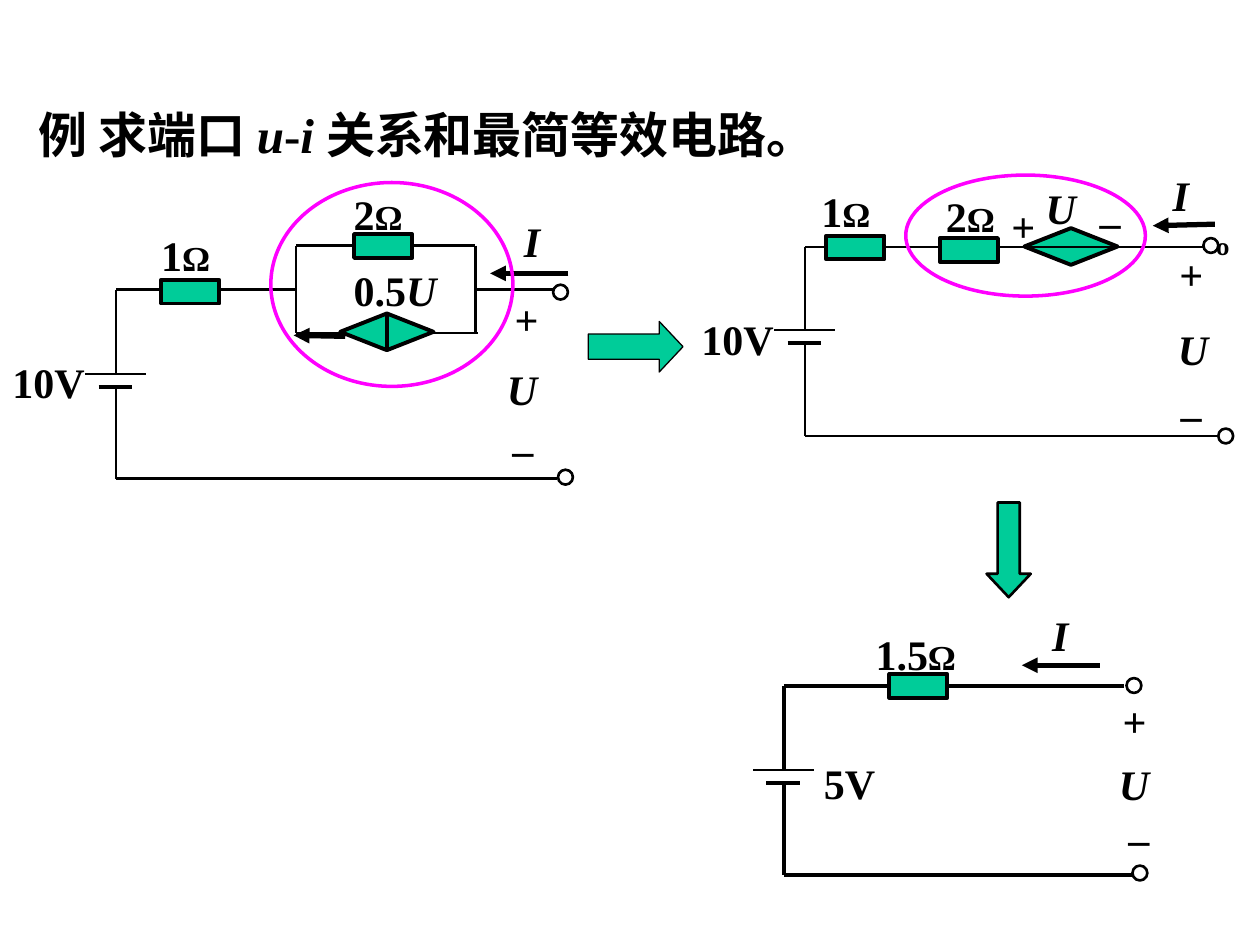
from itertools import groupby

from lxml import etree
from pptx import Presentation
from pptx import util as u
from pptx.dml.color import RGBColor
from pptx.enum import shapes, text
from pptx.oxml import ns

BLACK = RGBColor(0, 0, 0)
WHITE = RGBColor(255, 255, 255)
GREEN = RGBColor(0, 204, 153)
PINK = RGBColor(255, 0, 255)
KIND = shapes.MSO_SHAPE
LEFT, MID = text.PP_ALIGN.LEFT, text.PP_ALIGN.CENTER
TOP, HALF = text.MSO_ANCHOR.TOP, text.MSO_ANCHOR.MIDDLE


def write(frame, words, size=24, align=LEFT, anchor=TOP):
    """Fill a frame; quantities become italic and ohm signs smaller."""
    frame.word_wrap = True
    frame.auto_size = text.MSO_AUTO_SIZE.NONE
    frame.vertical_anchor = anchor
    para = frame.paragraphs[0]
    para.alignment = align
    para.space_before = u.Pt(0)
    for style, chars in groupby(words, lambda c: (c in "UIui", c == "Ω")):
        run = para.add_run()
        run.text = "".join(chars)
        font = run.font
        font.name, font.bold, font.italic = "Times New Roman", True, style[0]
        font.size = u.Pt(20 if style[1] else size)
        font.color.rgb = BLACK


def draw(kind, x, y, w, h, fill=GREEN, line=BLACK, width=2.25):
    """Add a preset shape, unfilled when fill is None."""
    form = slide.shapes.add_shape(kind, u.Cm(x), u.Cm(y), u.Cm(w), u.Cm(h))
    form.shadow.inherit = False
    if fill is None:
        form.fill.background()
    else:
        form.fill.solid()
        form.fill.fore_color.rgb = fill
    form.line.color.rgb = line
    form.line.width = u.Pt(width)
    return form


deck = Presentation()
deck.slide_width, deck.slide_height = u.Cm(25.4), u.Cm(19.05)
slide = deck.slides.add_slide(deck.slide_layouts[5])

# Title
title = slide.shapes.title
title.left, title.top = u.Cm(0.53), u.Cm(1.98)
title.width, title.height = u.Cm(16.43), u.Cm(1.45)
write(title.text_frame, "例 求端口 u-i 关系和最简等效电路。", size=28)

# Block arrows between the circuits
right = draw(KIND.RIGHT_ARROW, 11.86, 6.48, 1.91, 1.02, width=0.75)
right.adjustments[1] = 0.47
down = draw(KIND.DOWN_ARROW, 19.89, 10.13, 0.89, 1.91, width=1.5)
down.adjustments[1] = 0.53

# Controlled sources
for x, y in [(6.86, 6.32), (20.65, 4.6)]:
    draw(KIND.DIAMOND, x, y, 1.88, 0.74)

# Wires: x1, y1, x2, y2, width
wires = [
    (8.71, 6.71, 9.63, 6.71, 1.5),
    (5.97, 4.95, 9.58, 4.95, 1.5),
    (5.97, 4.95, 5.97, 6.71, 1.5),
    (5.97, 6.71, 6.88, 6.71, 1.5),
    (9.58, 4.95, 9.58, 6.71, 1.5),
    (9.58, 5.84, 11.23, 5.84, 1.5),
    (7.8, 6.32, 7.8, 7.06, 2.25),
    (22.5, 4.98, 24.03, 4.98, 1.5),
    (20.78, 13.82, 22.66, 13.82, 2.25),
]
# Each loop: battery x, top, plate and bottom y, wire ends, width
for x, top, plate, low, end, last, width in [
    (2.34, 5.84, 7.54, 9.65, 5.97, 11.23, 1.5),
    (16.23, 4.98, 6.65, 8.79, 24.38, 24.61, 1.5),
    (15.8, 13.82, 15.52, 17.63, 21.23, 22.81, 2.25),
]:
    wires += [
        (x - 0.62, plate, x + 0.6, plate, 1.5),
        (x - 0.35, plate + 0.26, x + 0.33, plate + 0.26, 2.25),
        (x, plate + 0.31, x, low, width),
        (x, plate, x, top, width),
        (x, top, end, top, width),
        (x, low, last, low, width),
    ]
# Current arrows are the 3 pt lines
wires += [
    (6.96, 6.78, 5.92, 6.76, 3),
    (11.46, 5.51, 9.88, 5.51, 3),
    (24.49, 4.52, 23.24, 4.55, 3),
    (22.17, 13.41, 20.6, 13.41, 3),
]
for *ends, width in wires:
    wire = slide.shapes.add_connector(
        shapes.MSO_CONNECTOR.STRAIGHT, *[u.Cm(v) for v in ends])
    wire.line.color.rgb = BLACK
    wire.line.width = u.Pt(width)
    if width == 3:
        head = etree.SubElement(wire.line._get_or_add_ln(), ns.qn("a:tailEnd"))
        head.set("type", "triangle")
    etree.SubElement(wire._element.spPr, ns.qn("a:effectLst"))

# Resistors
for x, y in [(3.25, 5.64), (7.14, 4.72), (16.66, 4.75), (18.95, 4.8),
             (17.93, 13.59)]:
    draw(KIND.RECTANGLE, x, y, 1.17, 0.48)

# Terminals
for x, y in [(11.25, 9.47), (11.15, 5.74), (24.56, 8.64), (24.26, 4.8),
             (22.71, 13.67), (22.83, 17.45)]:
    draw(KIND.OVAL, x, y, 0.3, 0.3, fill=WHITE, width=1.5)

# Rings around the parts being replaced
for box in [(5.46, 3.68, 4.88, 4.11), (18.26, 3.53, 4.83, 2.44)]:
    draw(KIND.OVAL, *box, fill=None, line=PINK, width=2)

# Labels: text, x, y, width
values = [
    ("1Ω", 3, 4.5, 2.74), ("2Ω", 6.88, 3.68, 2.74), ("10V", 0, 7.06, 2.11),
    ("0.5U", 6.88, 5.21, 2.34), ("I", 10.31, 4.22, 0.56),
    ("10V", 13.89, 6.2, 2.34), ("1Ω", 16.31, 3.61, 2.54),
    ("2Ω", 18.82, 3.71, 2.54), ("+", 20.14, 3.91, 1.12),
    ("U", 20.83, 3.56, 1.35), ("I", 23.39, 3.3, 0.84),
    ("1.5Ω", 17.4, 12.55, 2.95), ("5V", 16.36, 15.14, 2.11),
    ("I", 20.96, 12.17, 0.56),
]
ports = [
    ("+", 10.03, 5.79, 1.17), ("U", 9.75, 7.21, 1.55), ("_", 10.08, 8.13, 0.69),
    ("_", 21.92, 3.53, 0.64), ("º", 24.26, 4.5, 0.51),
    ("+", 23.34, 4.88, 1.35), ("U", 23.34, 6.4, 1.42), ("_", 23.55, 7.42, 0.64),
    ("+", 22.38, 13.89, 0.56), ("U", 22.1, 15.16, 1.52), ("_", 22.5, 15.98, 0.69),
]
for group, align, anchor in [(values, LEFT, TOP), (ports, MID, HALF)]:
    for words, x, y, w in group:
        label = slide.shapes.add_textbox(u.Cm(x), u.Cm(y), u.Cm(w), u.Cm(1.27))
        write(label.text_frame, words, align=align, anchor=anchor)

deck.save("out.pptx")
